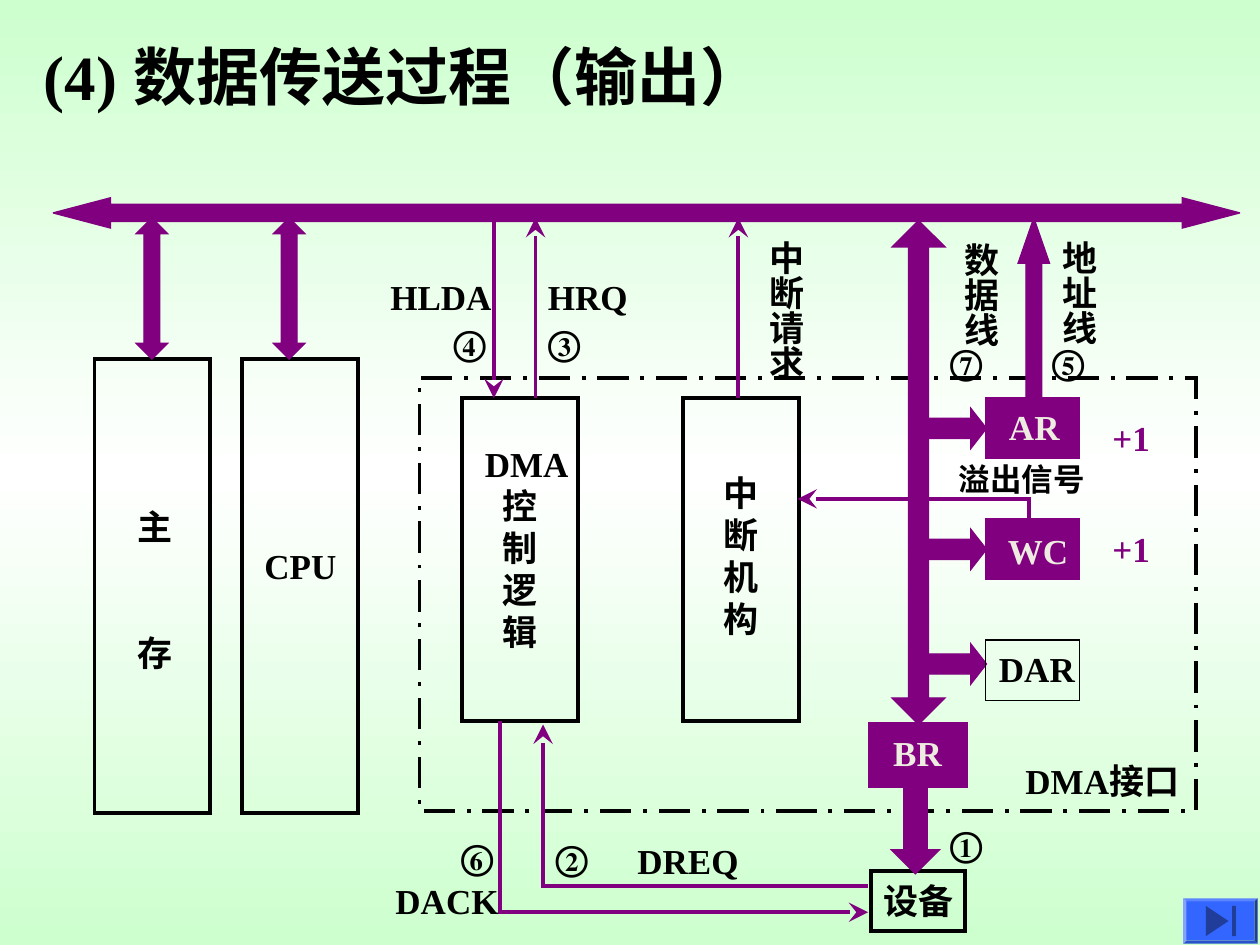
from copy import deepcopy

from lxml import etree
from pptx import Presentation
from pptx.dml.color import RGBColor
from pptx.enum import dml, shapes, text
from pptx.oxml.ns import qn
from pptx.util import Inches, Pt

FONT = "Times New Roman"
COLORS = {
    "ink": "000000", "signal": "800080", "pale": "EEECE1",
    "edge": "CDFFCE", "middle": "FFFFFF", "button": "3366FF", "icon": "1F3D99",
}
SHAPE = shapes.MSO_SHAPE

# Outlined blocks: left, top, width, height, line width
BLOCKS = [
    (0.75, 2.85, 0.92, 3.6, 2.25),   # main memory
    (1.92, 2.85, 0.92, 3.6, 2.25),   # CPU
    (3.67, 3.16, 0.92, 2.56, 2.25),  # DMA control logic
    (5.42, 3.16, 0.92, 2.56, 2.25),  # interrupt unit
    (6.91, 6.91, 0.75, 0.48, 2.25),  # device
]
DMA_INTERFACE = (3.33, 3, 6.16, 3.44)

# Registers beside the data lines: name, text left, text top offset, filled
REGISTERS = [("AR", 7.91, 0.01, True), ("WC", 7.9, 0.03, True), ("DAR", 7.83, 0.01, False)]
REGISTER_LEFT, REGISTER_TOP, REGISTER_STEP = 7.82, 3.16, 0.96
REGISTER_SIZE = (0.75, 0.48)
BUFFER = (6.91, 5.75)

# Block arrows: preset, left, top, width, height, adjustments
BLOCK_ARROWS = [
    (SHAPE.LEFT_RIGHT_ARROW, 0.42, 1.57, 9.42, 0.24, (0.57, 1.9)),
    (SHAPE.UP_DOWN_ARROW, 1.08, 1.73, 0.25, 1.12, (0.89, 0.5)),
    (SHAPE.UP_DOWN_ARROW, 2.17, 1.73, 0.25, 1.12, (0.89, 0.5)),
    (SHAPE.UP_DOWN_ARROW, 7.08, 1.75, 0.42, 4, (0.7, 0.38)),
    (SHAPE.UP_ARROW, 8.08, 1.73, 0.25, 1.44, (0.5, 1.44)),
    (SHAPE.RIGHT_ARROW, 7.33, 3.24, 0.5, 0.32, (0.5, 0.39)),
    (SHAPE.RIGHT_ARROW, 7.33, 4.2, 0.5, 0.32, (0.5, 0.39)),
    (SHAPE.RIGHT_ARROW, 7.33, 5.11, 0.5, 0.32, (0.5, 0.39)),
]
DEVICE_ARROW = (7.1, 6.25, 0.33, 0.67)

# Signal lines, each ending in an arrowhead
SIGNALS = [
    [(3.92, 1.73), (3.92, 3.16)],                # HLDA
    [(4.25, 3.16), (4.25, 1.73)],                # HRQ
    [(5.86, 3.16), (5.86, 1.73)],                # interrupt request
    [(6.89, 7.03), (4.31, 7.03), (4.31, 5.75)],  # DREQ
    [(3.97, 5.72), (3.97, 7.24), (6.89, 7.24)],  # DACK
    [(8.17, 4.12), (8.17, 3.96), (6.33, 3.96)],  # overflow
]

# Labels: text, left, top, width, height, format
LABELS = [
    ("(4) 数据传送过程（输出）", 0.25, 0.25, 6.25, 0.7, dict(size=36)),
    ("主\n存", 0.99, 3.96, 0.48, 1.44, dict(gap=48)),
    ("CPU", 2, 4.27, 0.77, 0.44, {}),
    ("DMA\n控\n制\n逻\n辑", 3.75, 3.46, 0.86, 1.77, dict(indent=0.14)),
    ("中\n断\n机\n构", 5.64, 3.69, 0.48, 1.44, {}),
    ("设备", 6.91, 6.93, 0.75, 0.44, {}),
    ("DMA接口", 8.04, 5.98, 1.49, 0.44, {}),
    ("HLDA", 3, 2.14, 1, 0.44, {}),
    ("HRQ", 4.25, 2.14, 0.83, 0.44, {}),
    ("DREQ", 4.96, 6.61, 1, 0.44, {}),
    ("DACK", 3.04, 6.93, 1.02, 0.44, {}),
    ("溢出信号", 7.51, 3.6, 1.2, 0.4, dict(size=18)),
    ("中断请求", 5.92, 1.81, 0.53, 1.22, dict(vertical=True)),
    ("数据线", 7.47, 1.83, 0.53, 0.94, dict(vertical=True)),
    ("地址线", 8.25, 1.81, 0.53, 0.94, dict(vertical=True)),
    ("+1", 8.73, 3.26, 0.5, 0.44, dict(color="signal")),
    ("+1", 8.73, 4.14, 0.5, 0.44, dict(color="signal")),
    ("BR", 6.99, 5.76, 0.58, 0.44, dict(color="pale")),
]
STEPS = [("①", 7.44, 6.48), ("②", 4.31, 6.59), ("③", 4.25, 2.5), ("④", 3.5, 2.5),
         ("⑤", 8.25, 2.65), ("⑥", 3.56, 6.58), ("⑦", 7.44, 2.65)]


def rgb(name):
    return RGBColor.from_string(COLORS[name])


def paint(shape, fill=None, line=None, width=0.75):
    shape.shadow.inherit = False
    if fill:
        shape.fill.solid()
        shape.fill.fore_color.rgb = rgb(fill)
    else:
        shape.fill.background()
    if line:
        shape.line.color.rgb = rgb(line)
        shape.line.width = Pt(width)
        outline = shape.element.xpath(".//a:ln")[0]
        etree.SubElement(outline, qn("a:miter"), lim="800000")
    else:
        shape.line.fill.background()
    return shape


def add_preset(page, preset, area, adjust=(), **style):
    shape = page.shapes.add_shape(preset, *map(Inches, area))
    for index, value in enumerate(adjust):
        shape.adjustments[index] = value
    return paint(shape, **style)


def add_outline(page, points, closed):
    places = [(Inches(x), Inches(y)) for x, y in points]
    builder = page.shapes.build_freeform(*places[0])
    builder.add_line_segments(places[1:], close=closed)
    return builder.convert_to_shape()


def add_signal(page, points):
    if len(points) == 2:
        start, end = points
        signal = page.shapes.add_connector(
            shapes.MSO_CONNECTOR.STRAIGHT, *map(Inches, start + end))
        signal.line.color.rgb = rgb("signal")
        signal.line.width = Pt(2.25)
        etree.SubElement(signal.element.spPr, qn("a:effectLst"))
    else:
        signal = paint(add_outline(page, points, False), line="signal", width=2.25)
    line = signal.element.xpath(".//a:ln")[0]
    etree.SubElement(line, qn("a:tailEnd"), type="stealth", w="lg", len="lg")


def add_label(page, words, area, size=20, color="ink",
              vertical=False, gap=0, indent=0):
    """Gap (points) and indent (inches) apply to every line after the first."""
    box = page.shapes.add_textbox(*map(Inches, area))
    frame = box.text_frame
    frame.word_wrap = True
    frame.auto_size = text.MSO_AUTO_SIZE.NONE
    if vertical:
        frame.margin_bottom = 0
        frame._bodyPr.set("vert", "eaVert")
    else:
        frame.margin_right = 0
    for index, line in enumerate(words.split("\n")):
        para = frame.add_paragraph() if index else frame.paragraphs[0]
        if index and gap:
            para.space_before = Pt(gap)
        if index and indent:
            para._p.get_or_add_pPr().set("marL", str(Inches(indent)))
        span = para.add_run()
        span.text = line
        span.font.name = FONT
        span.font.size = Pt(size)
        span.font.bold = True
        span.font.color.rgb = rgb(color)


def set_background(page):
    fill = page.background.fill
    fill.gradient()
    fill.gradient_angle = 90
    stop_list = page.element.xpath(".//a:gsLst")[0]
    stop_list.append(deepcopy(stop_list[0]))
    for stop, name, position in zip(
            fill.gradient_stops, ("edge", "middle", "edge"), (0, 0.5, 1)):
        stop.color.rgb = rgb(name)
        stop.position = position


def add_end_button(page):
    add_preset(page, SHAPE.BEVEL, (9.39, 7.13, 0.59, 0.36), (0.07,), fill="button")
    triangle = [(9.57, 7.19), (9.75, 7.31), (9.57, 7.43)]
    paint(add_outline(page, triangle, True), fill="icon")
    add_preset(page, SHAPE.RECTANGLE, (9.78, 7.19, 0.03, 0.24), fill="icon")


def main():
    deck = Presentation()
    deck.slide_width, deck.slide_height = Inches(10), Inches(7.5)
    page = deck.slides.add_slide(deck.slide_layouts[6])
    set_background(page)

    for *area, width in BLOCKS:
        add_preset(page, SHAPE.RECTANGLE, area, line="ink", width=width)
    interface = add_preset(page, SHAPE.RECTANGLE, DMA_INTERFACE, line="ink", width=2.25)
    interface.line.dash_style = dml.MSO_LINE.LONG_DASH_DOT

    for preset, *area, adjust in BLOCK_ARROWS:
        add_preset(page, preset, area, adjust, fill="signal", line="signal")
    device_arrow = add_preset(page, SHAPE.UP_ARROW, DEVICE_ARROW, (0.5, 0.5),
                              fill="signal", line="signal", width=2.25)
    device_arrow.rotation = 180
    for points in SIGNALS:
        add_signal(page, points)

    for row, (name, left, offset, filled) in enumerate(REGISTERS):
        top = REGISTER_TOP + row * REGISTER_STEP
        add_preset(page, SHAPE.RECTANGLE, (REGISTER_LEFT, top, *REGISTER_SIZE),
                   fill="signal" if filled else None, line="signal" if filled else "ink")
        add_label(page, name, (left, top + offset, 0.2 + 0.2 * len(name), 0.44),
                  color="pale" if filled else "ink")
    add_preset(page, SHAPE.RECTANGLE, BUFFER + REGISTER_SIZE,
               fill="signal", line="signal", width=3)

    for words, *area, style in LABELS:
        add_label(page, words, area, **style)
    for number, left, top in STEPS:
        add_label(page, number, (left, top, 0.48, 0.44))
    add_end_button(page)
    deck.save("out.pptx")


if __name__ == "__main__":
    main()
